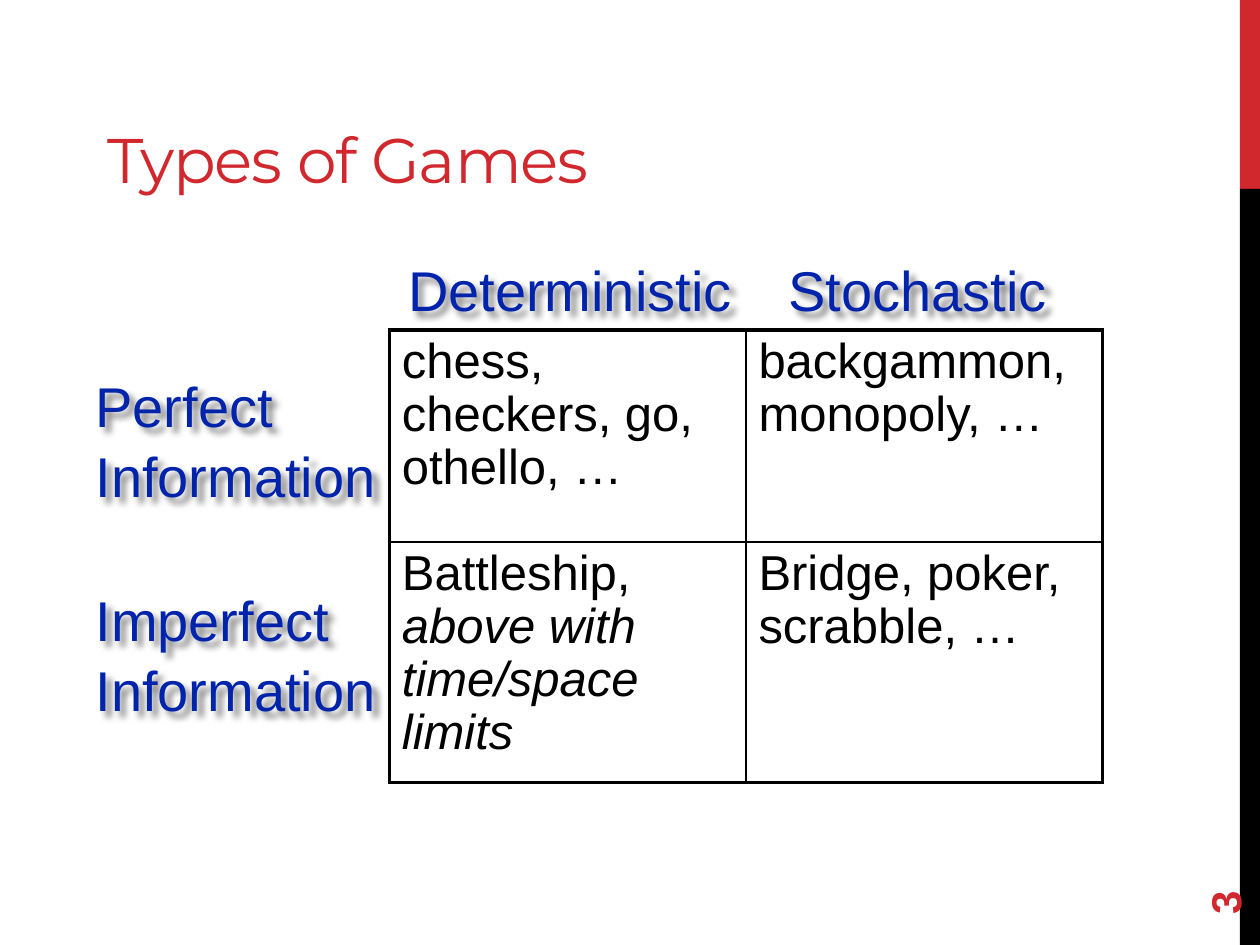
import pptx
import pptx.util
import pptx.dml.color
import pptx.enum.shapes
import pptx.enum.text
import pptx.oxml
from pptx.util import Inches

RED, BLACK, WHITE, BLUE = "D1282E", "000000", "FFFFFF", "0023AB"
NAMESPACE = 'xmlns:a="http://schemas.openxmlformats.org/drawingml/2006/main"'


def color(value):
    return pptx.dml.color.RGBColor.from_string(value)


def add_run(paragraph, text, font_color, **formats):
    run = paragraph.add_run()
    run.text = text
    run.font.color.rgb = color(font_color)
    for name, value in formats.items():
        setattr(run.font, name, value)
    return run


presentation = pptx.Presentation()
presentation.slide_width = Inches(10)
presentation.slide_height = Inches(7.5)
slide = presentation.slides.add_slide(presentation.slide_layouts[5])

# Side bars
for top, height, fill in [(0, 1.5, RED), (1.5, 6, BLACK)]:
    bar = slide.shapes.add_shape(pptx.enum.shapes.MSO_SHAPE.RECTANGLE,
                                 Inches(9.84), Inches(top), Inches(0.16), Inches(height))
    bar.shadow.inherit = False
    bar.fill.solid()
    bar.fill.fore_color.rgb = color(fill)
    bar.line.fill.background()

# Title
title = slide.shapes.title
title_place = {"left": 0.75, "top": 0.36, "width": 8.5, "height": 1.25}
for name, value in title_place.items():
    setattr(title, name, Inches(value))
title.text_frame.vertical_anchor = pptx.enum.text.MSO_ANCHOR.BOTTOM
paragraph = title.text_frame.paragraphs[0]
paragraph.alignment = pptx.enum.text.PP_ALIGN.LEFT
run = add_run(paragraph, "Types of Games", RED, name="Montserrat", size=pptx.util.Pt(36))
run.font._element.set("spc", "-60")

# Slide number
number = slide.shapes.add_textbox(Inches(9), Inches(6.44), Inches(1.44), Inches(0.4))
number.rotation = 270
number.text_frame.word_wrap = True
number.text_frame.vertical_anchor = pptx.enum.text.MSO_ANCHOR.MIDDLE
add_run(number.text_frame.paragraphs[0], "3", RED, name="Arial", size=pptx.util.Pt(24), bold=True)

# Table of games: each cell is a list of (text, italic)
games = [
    [[("chess, checkers, go, othello, …", False)], [("backgammon, monopoly, …", False)]],
    [[("Battleship, ", False), ("above with time/space limits", True)],
     [("Bridge, poker, scrabble, …", False)]],
]
table = slide.shapes.add_table(2, 2, Inches(3.09), Inches(2.62),
                               Inches(5.66), Inches(3.36)).table
table.first_row = False
table.horz_banding = False
for row_index, row in enumerate(games):
    table.rows[row_index].height = Inches(1.68)
    for column_index, parts in enumerate(row):
        cell = table.cell(row_index, column_index)
        paragraph = cell.text_frame.paragraphs[0]
        paragraph.line_spacing = 0.97
        for text, italic in parts:
            add_run(paragraph, text, BLACK, name="Arial", size=pptx.util.Pt(28), italic=italic)

        # Thick outer borders, thin inner ones
        outer = {"L": column_index == 0, "R": column_index == 1,
                 "T": row_index == 0, "B": row_index == 1}
        properties = cell._tc.get_or_add_tcPr()
        for side, is_outer in outer.items():
            width = pptx.util.Pt(2.25 if is_outer else 1)
            properties.append(pptx.oxml.parse_xml(
                f'<a:ln{side} {NAMESPACE} w="{width}"><a:solidFill>'
                f'<a:srgbClr val="{BLACK}"/></a:solidFill></a:ln{side}>'))
        cell.fill.solid()
        cell.fill.fore_color.rgb = color(WHITE)

# Row and column labels with a soft shadow
labels = [
    (["Perfect", "Information"], 0.66, 2.88, 2.43, 1.17),
    (["Imperfect", "Information"], 0.66, 4.58, 2.43, 1.17),
    (["Stochastic"], 6.16, 1.96, 2.25, 0.63),
    (["Deterministic"], 3.14, 1.96, 2.77, 0.63),
]
for lines, *place in labels:
    label = slide.shapes.add_textbox(*[Inches(value) for value in place])
    frame = label.text_frame
    frame.word_wrap = False
    frame.auto_size = pptx.enum.text.MSO_AUTO_SIZE.SHAPE_TO_FIT_TEXT
    for index, line in enumerate(lines):
        paragraph = frame.add_paragraph() if index else frame.paragraphs[0]
        paragraph.line_spacing = 1.04
        add_run(paragraph, line, BLUE, name="Arial", size=pptx.util.Pt(32))
    label._element.spPr.append(pptx.oxml.parse_xml(
        f'<a:effectLst {NAMESPACE}><a:outerShdw blurRad="50800" dist="50800" dir="2700000">'
        f'<a:srgbClr val="{BLACK}"><a:alpha val="50000"/></a:srgbClr>'
        '</a:outerShdw></a:effectLst>'))

presentation.save("out.pptx")
